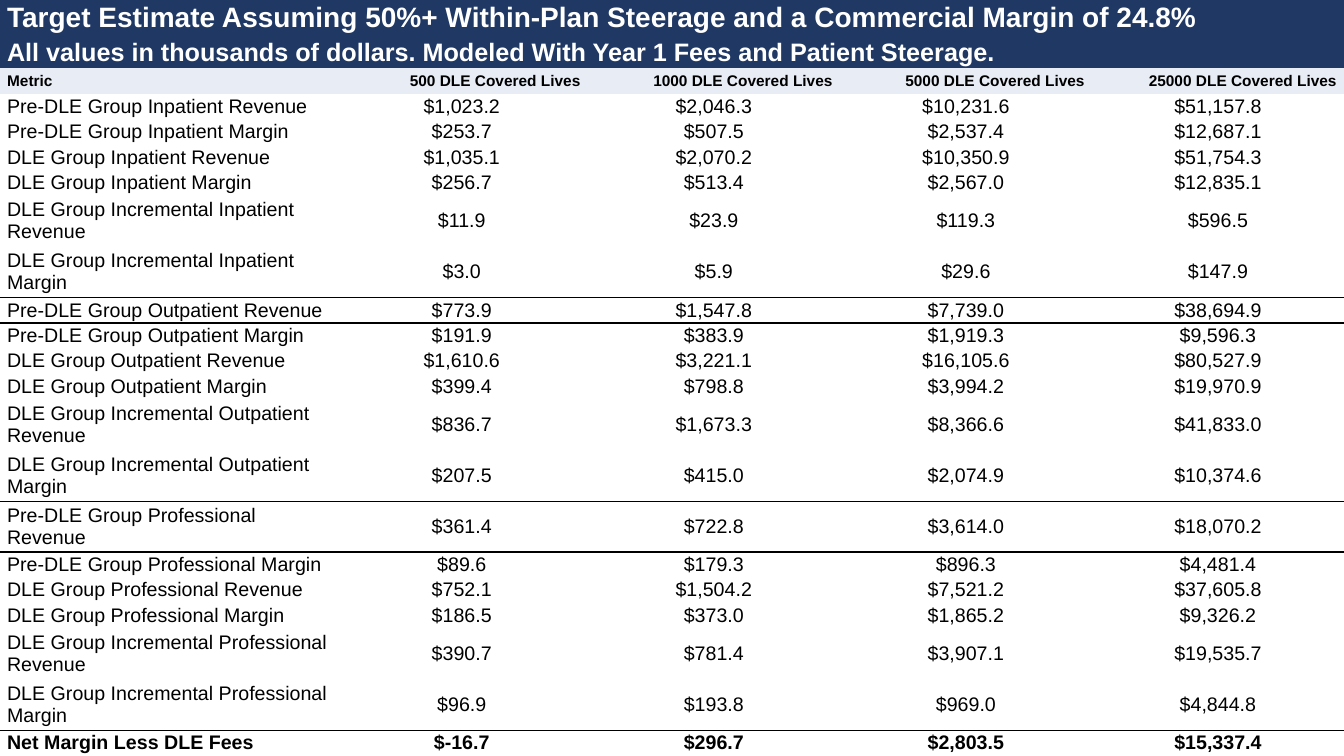
import itertools
import pptx
import pptx.util
import pptx.dml.color
import pptx.enum.text
import pptx.oxml
import pptx.oxml.ns
from pptx.util import Inches

# Content
HEADS = [
    "Target Estimate Assuming 50%+ Within-Plan Steerage and a Commercial Margin of 24.8%",
    "All values in thousands of dollars. Modeled With Year 1 Fees and Patient Steerage.",
]
LIVES = [500, 1000, 5000, 25000]
STAGES = ["Pre-DLE Group", "DLE Group", "DLE Group Incremental"]
SUMS = ["Revenue", "Margin"]
CARE = {
    "Inpatient": [
        (1023.2, 2046.3, 10231.6, 51157.8),
        (253.7, 507.5, 2537.4, 12687.1),
        (1035.1, 2070.2, 10350.9, 51754.3),
        (256.7, 513.4, 2567.0, 12835.1),
        (11.9, 23.9, 119.3, 596.5),
        (3.0, 5.9, 29.6, 147.9),
    ],
    "Outpatient": [
        (773.9, 1547.8, 7739.0, 38694.9),
        (191.9, 383.9, 1919.3, 9596.3),
        (1610.6, 3221.1, 16105.6, 80527.9),
        (399.4, 798.8, 3994.2, 19970.9),
        (836.7, 1673.3, 8366.6, 41833.0),
        (207.5, 415.0, 2074.9, 10374.6),
    ],
    "Professional": [
        (361.4, 722.8, 3614.0, 18070.2),
        (89.6, 179.3, 896.3, 4481.4),
        (752.1, 1504.2, 7521.2, 37605.8),
        (186.5, 373.0, 1865.2, 9326.2),
        (390.7, 781.4, 3907.1, 19535.7),
        (96.9, 193.8, 969.0, 4844.8),
    ],
}
NET = ("Net Margin Less DLE Fees", (-16.7, 296.7, 2803.5, 15337.4))

# Theme and measures
THEME = {
    "font": "Arial", "ink": "000000", "white": "FFFFFF",
    "navy": "203864", "pale": "E7ECF5",
    "title": 20, "sub": 18, "head": 11, "body": 14, "rule": 1,
}
WIDE, HIGH = 13.33, 7.5
COLS = [3.33] + [2.5] * len(LIVES)
TOPS = [0.36, 0.32]
PAD = 0.07
FIT = 33  # longest label, in letters, that fits on one line
NO_GRID = "{2D5ABB26-0587-4C30-8999-92F81FD0307C}"

ALIGN = pptx.enum.text.PP_ALIGN
MID = pptx.enum.text.MSO_ANCHOR.MIDDLE


def tint(code):
    return pptx.dml.color.RGBColor.from_string(THEME[code])


def write(cell, text, size="body", color="ink", bold=False, align=ALIGN.LEFT, fill=None):
    """Put formatted text in a table cell."""
    cell.margin_left = cell.margin_right = cell.margin_top = cell.margin_bottom = 0
    cell.vertical_anchor = MID
    if fill:
        cell.fill.solid()
        cell.fill.fore_color.rgb = tint(fill)
    else:
        cell.fill.background()
    para = cell.text_frame.paragraphs[0]
    para.alignment = align
    props = para._p.get_or_add_pPr()
    for side in ("marL", "marR"):
        props.set(side, str(Inches(PAD)))
    props.set("indent", "0")
    run = para.add_run()
    run.text = text
    run.font.name = THEME["font"]
    run.font.size = pptx.util.Pt(THEME[size])
    run.font.bold = bold
    run.font.color.rgb = tint(color)


def edge(cell, side):
    """Rule one side of a cell: lnT or lnB."""
    width = pptx.util.Pt(THEME["rule"])
    line = pptx.oxml.parse_xml(
        f'<a:{side} {pptx.oxml.ns.nsdecls("a")} w="{width}"><a:solidFill>'
        f'<a:srgbClr val="{THEME["ink"]}"/></a:solidFill></a:{side}>')
    cell._tc.get_or_add_tcPr().insert(0, line)


def main():
    deck = pptx.Presentation()
    deck.slide_width, deck.slide_height = Inches(WIDE), Inches(HIGH)
    slide = deck.slides.add_slide(deck.slide_layouts[6])

    # Body rows: label and values
    rows = []
    for care, sums in CARE.items():
        pairs = itertools.product(STAGES, SUMS)
        rows += [(f"{stage} {care} {name}", vals)
                 for (stage, name), vals in zip(pairs, sums)]
    rows.append(NET)
    group = len(STAGES) * len(SUMS)

    # Row heights share what the heading leaves
    lines = [1] + [2 if len(label) > FIT else 1 for label, _ in rows]
    unit = (HIGH - sum(TOPS)) / sum(lines)
    highs = TOPS + [unit * count for count in lines]

    # Table frame
    frame = slide.shapes.add_table(len(highs), len(COLS), 0, 0, Inches(sum(COLS)), Inches(HIGH))
    table = frame.table
    table.first_row = table.horz_banding = False
    table._tbl.tblPr.find(pptx.oxml.ns.qn("a:tableStyleId")).text = NO_GRID
    for col, width in zip(table.columns, COLS):
        col.width = Inches(width)
    for row, high in zip(table.rows, highs):
        row.height = Inches(high)

    # Heading bands
    for i, (text, size) in enumerate(zip(HEADS, ("title", "sub"))):
        cell = table.cell(i, 0)
        cell.merge(table.cell(i, len(COLS) - 1))
        write(cell, text, size=size, color="white", bold=True, fill="navy")

    # Column heads
    names = ["Metric"] + [f"{count} DLE Covered Lives" for count in LIVES]
    for j, name in enumerate(names):
        write(table.cell(len(HEADS), j), name, size="head", bold=True, fill="pale",
              align=ALIGN.RIGHT if j else ALIGN.LEFT)

    # Values, with a rule between groups
    first = len(HEADS) + 1
    for i, (label, vals) in enumerate(rows):
        texts = [label] + [f"${val:,.1f}" for val in vals]
        for j, text in enumerate(texts):
            cell = table.cell(first + i, j)
            write(cell, text, bold=label == NET[0],
                  align=ALIGN.CENTER if j else ALIGN.LEFT)
            if i % group == group - 1:
                edge(cell, "lnB")
            elif i and i % group == 0:
                edge(cell, "lnT")

    deck.save("out.pptx")


if __name__ == "__main__":
    main()
